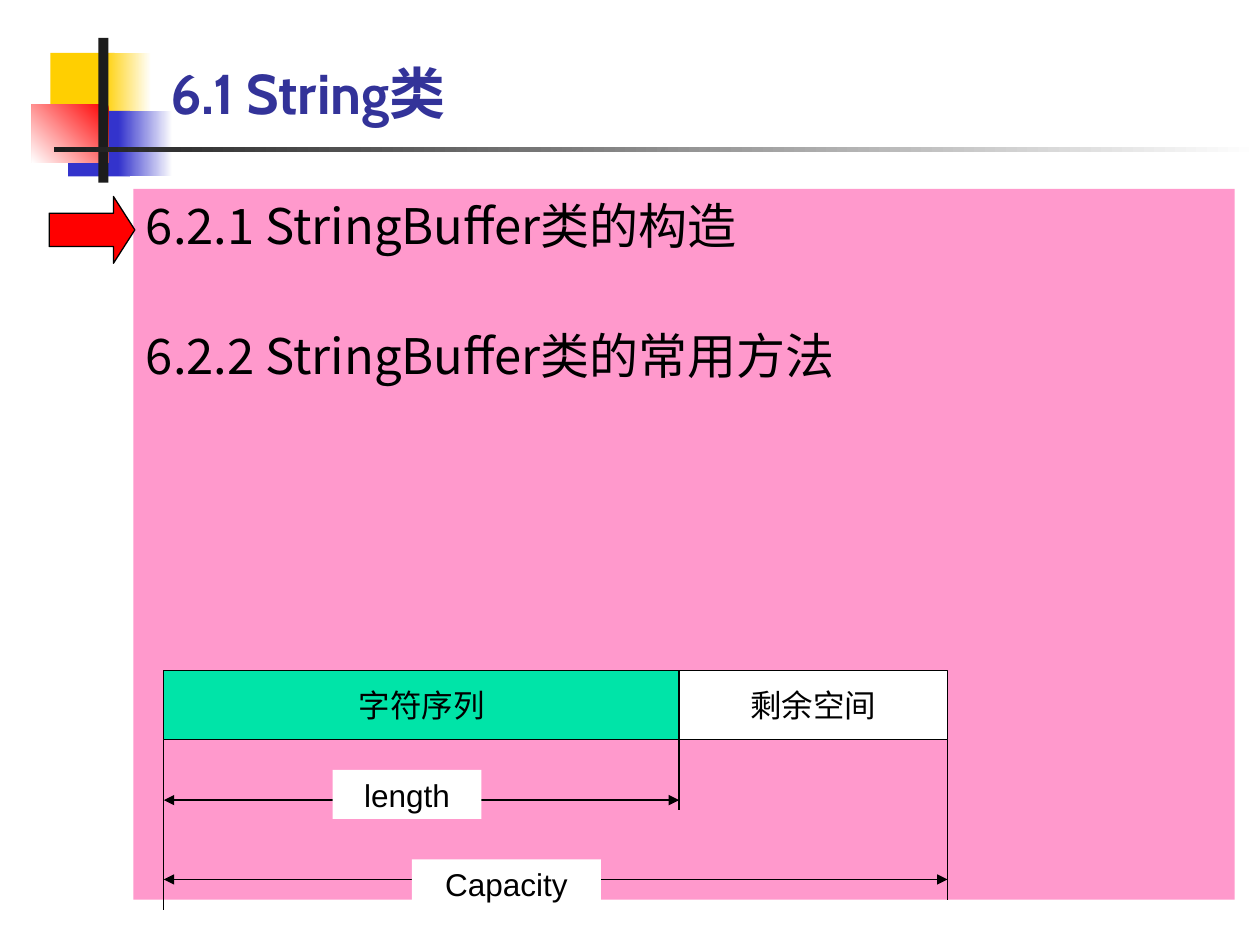
from lxml.etree import SubElement
from pptx import Presentation
from pptx.dml.color import RGBColor
from pptx.enum.dml import MSO_LINE
from pptx.enum.shapes import MSO_CONNECTOR, MSO_SHAPE
from pptx.enum.text import MSO_ANCHOR, MSO_AUTO_SIZE, PP_ALIGN
from pptx.oxml.ns import qn
from pptx.util import Inches, Pt

THEME = {
    "yellow": "FFCF01", "blue": "3333CC", "red": "FF0000", "dark": "1C1C1C",
    "white": "FFFFFF", "black": "000000", "title": "333399",
    "panel": "FF99CC", "used": "00E4A8",
    "title_font": "Cabin", "body_font": "Noto Sans CJK SC", "label_font": "Arial",
    "title_size": 32, "body_size": 28, "label_size": 18, "line_width": 0.75,
}

TITLE = "6.1 String类"
SECTIONS = ["6.2.1 StringBuffer类的构造", "6.2.2 StringBuffer类的常用方法"]
SECTION_GAP = 41

ORNAMENTS = [
    ((0.4, 0.42, 0.51, 0.52), "yellow", None),
    ((0.82, 0.42, 0.38, 0.52), ("white", "yellow"), 180),
    ((0.54, 0.88, 0.49, 0.52), "blue", None),
    ((0.94, 0.88, 0.43, 0.52), ("white", "blue"), 180),
    ((0.25, 0.83, 0.61, 0.46), ("red", "white"), 225),
    ((0.78, 0.3, 0.08, 1.15), "dark", None),
    ((0.43, 1.17, 9.57, 0.04), ("white", "dark"), 180),
]

EDGES = [1.3, 5.39, 7.52]
GUIDE_ENDS = [7.22, 6.43, 7.14]
BUFFER_TOP, BUFFER_HEIGHT = 5.32, 0.55
BUFFER_PARTS = [("字符序列", "used"), ("剩余空间", "white")]
SPANS = [
    ("length", EDGES[1], 6.35, (2.64, 6.11, 1.18, 0.39)),
    ("Capacity", EDGES[2], 6.98, (3.27, 6.82, 1.5, 0.39)),
]


def color(key):
    return RGBColor.from_string(THEME[key])


def write(frame, lines, *, font, size, ink="black", bold=False, align=PP_ALIGN.LEFT,
          anchor=MSO_ANCHOR.TOP, wrap=True, gap=0):
    frame.auto_size = MSO_AUTO_SIZE.NONE
    frame.word_wrap = wrap
    frame.vertical_anchor = anchor
    for index, line in enumerate(lines):
        paragraph = frame.paragraphs[0] if index == 0 else frame.add_paragraph()
        paragraph.alignment = align
        paragraph.space_before = Pt(gap if index else 0)
        run = paragraph.add_run()
        run.text = line
        run.font.name = THEME[font]
        run.font.size = Pt(THEME[size])
        run.font.bold = bold
        run.font.color.rgb = color(ink)
        SubElement(run.font._element, qn("a:ea"), typeface=THEME["body_font"])


def add_box(shapes, box, fill, angle=None, outlined=False, preset=MSO_SHAPE.RECTANGLE):
    shape = shapes.add_shape(preset, *map(Inches, box))
    shape.shadow.inherit = False
    if angle is None:
        shape.fill.solid()
        shape.fill.fore_color.rgb = color(fill)
    else:
        shape.fill.gradient()
        shape.fill.gradient_angle = angle
        for position, (stop, key) in enumerate(zip(shape.fill.gradient_stops, fill)):
            stop.position = position
            stop.color.rgb = color(key)
    if outlined:
        shape.line.color.rgb = color("black")
        shape.line.width = Pt(THEME["line_width"])
    else:
        shape.line.fill.background()
    return shape


def add_label(shapes, text, box, fill, outlined=False):
    label = add_box(shapes, box, fill, outlined=outlined)
    write(label.text_frame, [text], font="label_font", size="label_size",
          align=PP_ALIGN.CENTER, anchor=MSO_ANCHOR.MIDDLE, wrap=False)


def add_line(shapes, start, end, arrows=False):
    line = shapes.add_connector(MSO_CONNECTOR.STRAIGHT, *map(Inches, start + end))
    line.line.color.rgb = color("black")
    line.line.width = Pt(THEME["line_width"])
    line.line.dash_style = MSO_LINE.SOLID
    if arrows:
        for tag in ("a:headEnd", "a:tailEnd"):
            SubElement(line.line._get_or_add_ln(), qn(tag), type="triangle")
    SubElement(line._element.spPr, qn("a:effectLst"))


def main():
    deck = Presentation()
    deck.slide_width, deck.slide_height = Inches(10), Inches(7.5)
    slide = deck.slides.add_slide(deck.slide_layouts[5])
    shapes = slide.shapes

    title = shapes.title
    title.left, title.top, title.width, title.height = map(Inches, (1.25, 0.25, 6.74, 0.75))
    write(title.text_frame, [TITLE], font="title_font", size="title_size", ink="title",
          bold=True, anchor=MSO_ANCHOR.BOTTOM)
    title.text_frame.margin_bottom = 0

    for box, fill, angle in ORNAMENTS:
        add_box(shapes, box, fill, angle)

    panel = add_box(shapes, (1.06, 1.5, 8.74, 5.64), "panel")
    write(panel.text_frame, SECTIONS, font="body_font", size="body_size",
          align=PP_ALIGN.JUSTIFY, gap=SECTION_GAP)
    pointer = add_box(shapes, (0.39, 1.56, 0.68, 0.53), "red", outlined=True,
                      preset=MSO_SHAPE.RIGHT_ARROW)
    pointer.adjustments[1] = 0.32

    for (text, fill), left, right in zip(BUFFER_PARTS, EDGES, EDGES[1:]):
        add_label(shapes, text, (left, BUFFER_TOP, right - left, BUFFER_HEIGHT), fill,
                  outlined=True)
    for edge, bottom in zip(EDGES, GUIDE_ENDS):
        add_line(shapes, (edge, BUFFER_TOP + BUFFER_HEIGHT), (edge, bottom))
    for text, end, level, box in SPANS:
        add_line(shapes, (EDGES[0], level), (end, level), arrows=True)
        add_label(shapes, text, box, "white")

    deck.save("out.pptx")


if __name__ == "__main__":
    main()
